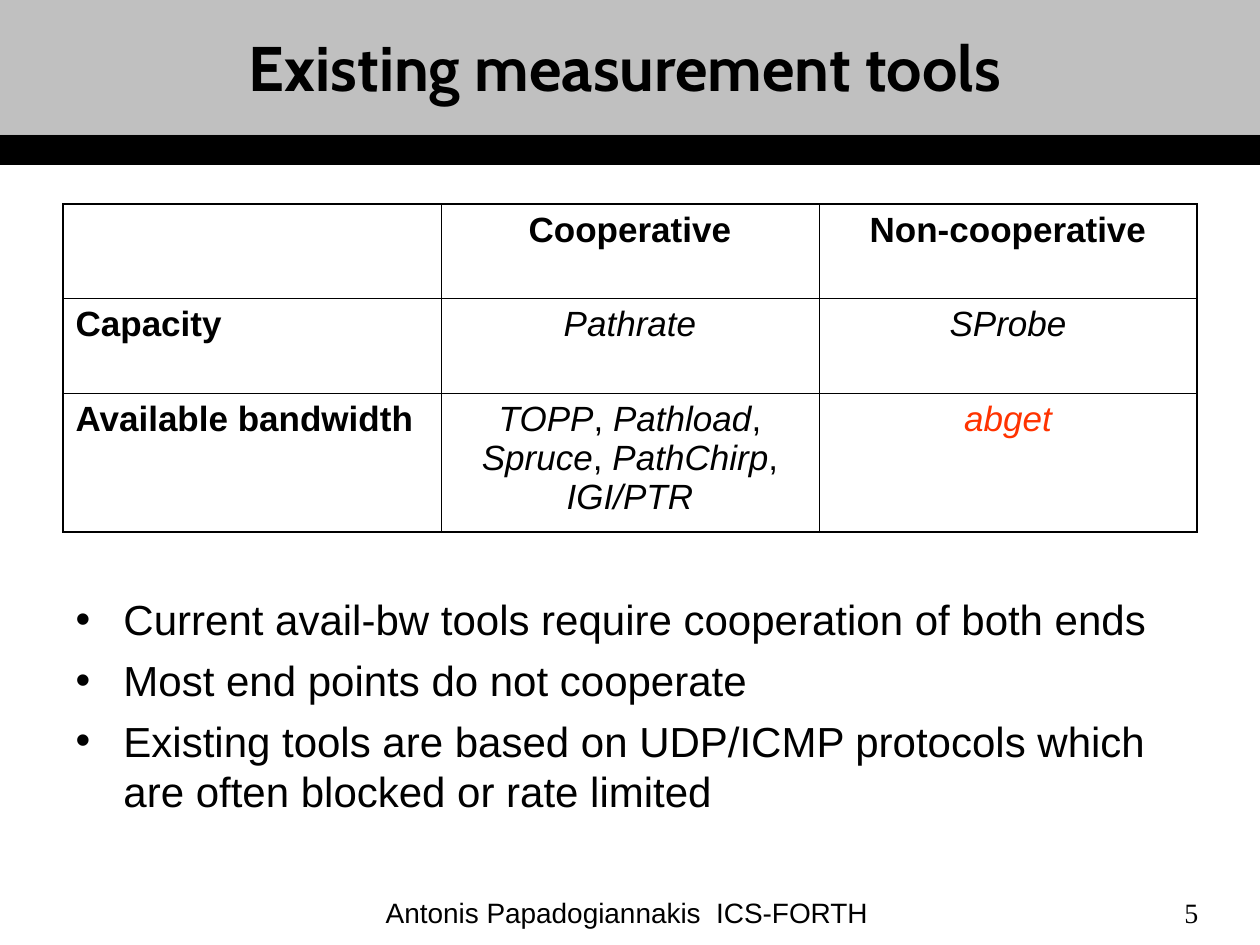
from dataclasses import dataclass

from lxml import etree
from pptx import Presentation
from pptx.dml.color import RGBColor
from pptx.enum import shapes, text
from pptx.oxml import ns
from pptx.util import Inches, Pt

LEFT, CENTER, RIGHT = text.PP_ALIGN.LEFT, text.PP_ALIGN.CENTER, text.PP_ALIGN.RIGHT


@dataclass(frozen=True)
class Theme:
    ink: str = "000000"
    band: str = "C0C0C0"
    accent: str = "FF3300"
    sans: str = "Arial"
    heading: str = "Cabin"
    serif: str = "Times New Roman"
    title: int = 36
    body: int = 24
    table: int = 20
    footer: int = 16
    outer_line: float = 1.08
    inner_line: float = 0.45


THEME = Theme()

# Each cell is a list of (text, style) runs.
BOLD, ITALIC, PLAIN = {"bold": True}, {"italic": True}, {}
COMMA = (", ", PLAIN)
TOOLS = [
    [[], [("Cooperative", BOLD)], [("Non-cooperative", BOLD)]],
    [[("Capacity", BOLD)], [("Pathrate", ITALIC)], [("SProbe", ITALIC)]],
    [
        [("Available bandwidth", BOLD)],
        [("TOPP", ITALIC), COMMA, ("Pathload", ITALIC), COMMA,
         ("Spruce", ITALIC), COMMA, ("PathChirp", ITALIC), COMMA,
         ("IGI/PTR", ITALIC)],
        [("abget", {"italic": True, "color": THEME.accent})],
    ],
]
ROW_HEIGHTS = [0.75, 0.75, 1.1]
POINTS = [
    "Current avail-bw tools require cooperation of both ends",
    "Most end points do not cooperate",
    "Existing tools are based on UDP/ICMP protocols which are often blocked "
    "or rate limited",
]


def place(sp, left, top, width, height):
    box = {"left": left, "top": top, "width": width, "height": height}
    for name, value in box.items():
        setattr(sp, name, Inches(value))


def add_run(p, words, size, name=THEME.sans, color=THEME.ink, bold=False, italic=False):
    r = p.add_run()
    r.text = words
    values = {"size": Pt(size), "name": name, "bold": bold, "italic": italic}
    for key, value in values.items():
        setattr(r.font, key, value)
    r.font.color.rgb = RGBColor.from_string(color)


def set_frame(tf, anchor=text.MSO_ANCHOR.TOP):
    values = {
        "word_wrap": True,
        "auto_size": text.MSO_AUTO_SIZE.NONE,
        "vertical_anchor": anchor,
    }
    for key, value in values.items():
        setattr(tf, key, value)


def add_band(s, order, top, height, color):
    """Add a full-width band behind the placeholders."""
    sp = s.shapes.add_shape(
        shapes.MSO_SHAPE.RECTANGLE, 0, Inches(top), Inches(10), Inches(height))
    sp.shadow.inherit = False
    sp.fill.solid()
    sp.fill.fore_color.rgb = RGBColor.from_string(color)
    sp.line.fill.background()
    s.shapes._spTree.insert(2 + order, sp._element)


def fill_title(s, words):
    sp = s.shapes.title
    place(sp, 0.43, 0.21, 9.06, 0.63)
    set_frame(sp.text_frame, text.MSO_ANCHOR.MIDDLE)
    p = sp.text_frame.paragraphs[0]
    p.alignment = CENTER
    add_run(p, words, THEME.title, THEME.heading, bold=True)


def add_label(s, box, words, align, font):
    sp = s.shapes.add_textbox(*map(Inches, box))
    set_frame(sp.text_frame)
    p = sp.text_frame.paragraphs[0]
    p.alignment = align
    add_run(p, words, THEME.footer, font)


def set_borders(cell, outer_sides):
    """Draw all four sides, the outer ones thicker."""
    tc_pr = cell._tc.get_or_add_tcPr()
    for i, side in enumerate("LRTB"):
        width = THEME.outer_line if side in outer_sides else THEME.inner_line
        ln = etree.Element(ns.qn(f"a:ln{side}"), w=str(Pt(width)))
        fill = etree.SubElement(ln, ns.qn("a:solidFill"))
        etree.SubElement(fill, ns.qn("a:srgbClr"), val=THEME.ink)
        tc_pr.insert(i, ln)


def add_tools_table(s):
    n_rows, n_cols = len(TOOLS), len(TOOLS[0])
    table = s.shapes.add_table(
        n_rows, n_cols, Inches(0.5), Inches(1.62), Inches(9),
        Inches(sum(ROW_HEIGHTS))).table
    for row, height in zip(table.rows, ROW_HEIGHTS):
        row.height = Inches(height)
    for y, row in enumerate(TOOLS):
        for x, runs in enumerate(row):
            cell = table.cell(y, x)
            cell.fill.background()
            edges = {"L": x == 0, "R": x == n_cols - 1,
                     "T": y == 0, "B": y == n_rows - 1}
            set_borders(cell, [side for side, outer in edges.items() if outer])
            p = cell.text_frame.paragraphs[0]
            p.alignment = CENTER if x else LEFT
            for words, style in runs:
                add_run(p, words, THEME.table, **style)


def fill_bullets(s, points):
    sp = s.placeholders[1]
    place(sp, 0.5, 4.66, 9.15, 2.08)
    tf = sp.text_frame
    set_frame(tf)
    for i, words in enumerate(points):
        p = tf.add_paragraph() if i else tf.paragraphs[0]
        p_pr = p._p.get_or_add_pPr()
        p_pr.set("marL", str(Inches(0.38)))
        p_pr.set("indent", str(Inches(-0.38)))
        etree.SubElement(p_pr, ns.qn("a:buChar"), char="•")
        p.space_before = Pt(6 if i else 0)
        add_run(p, words, THEME.body)


def main():
    prs = Presentation()
    prs.slide_width, prs.slide_height = Inches(10), Inches(7.5)
    s = prs.slides.add_slide(prs.slide_layouts[1])
    add_band(s, 0, 0, 1.07, THEME.band)
    add_band(s, 1, 1.07, 0.24, THEME.ink)
    fill_title(s, "Existing measurement tools")
    add_tools_table(s)
    fill_bullets(s, POINTS)
    add_label(s, (2.95, 7.06, 4.05, 0.37), "Antonis Papadogiannakis  ICS-FORTH",
              CENTER, THEME.sans)
    add_label(s, (7.28, 7.06, 2.33, 0.44), "5", RIGHT, THEME.serif)
    prs.save("out.pptx")


if __name__ == "__main__":
    main()
